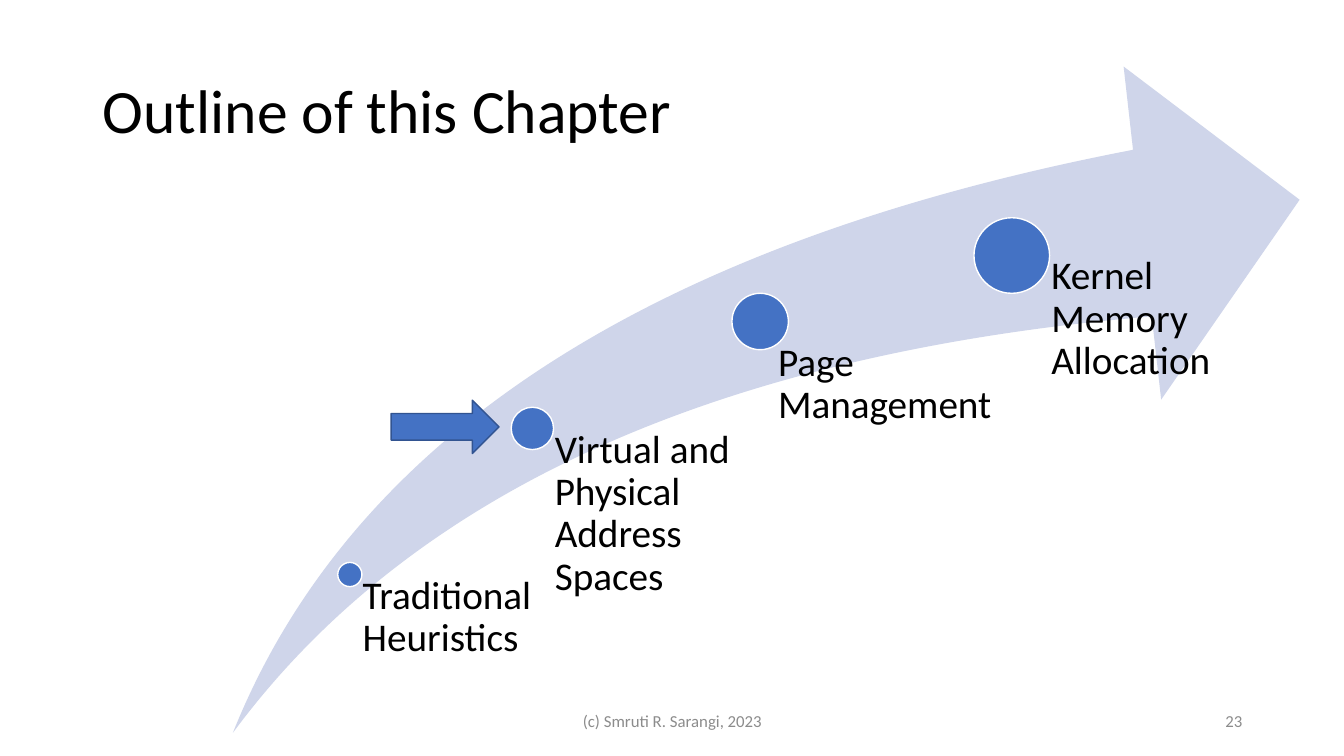
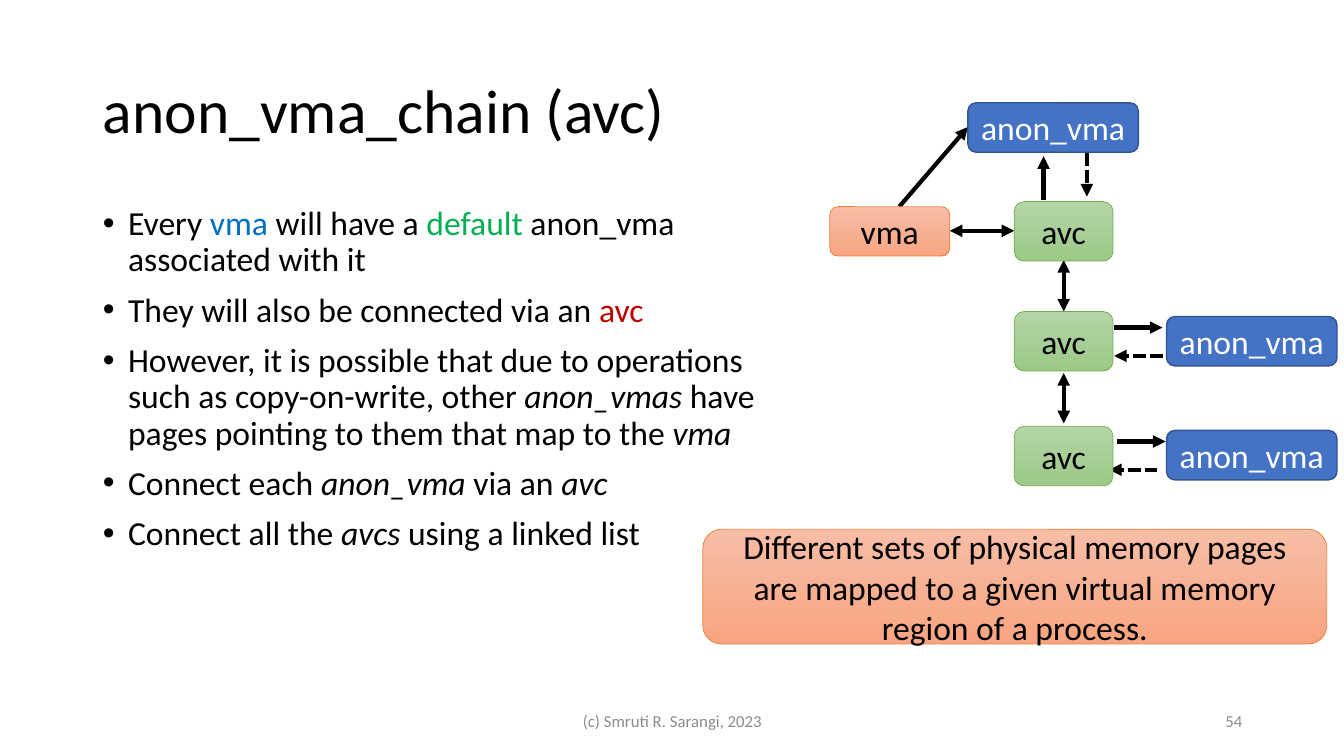
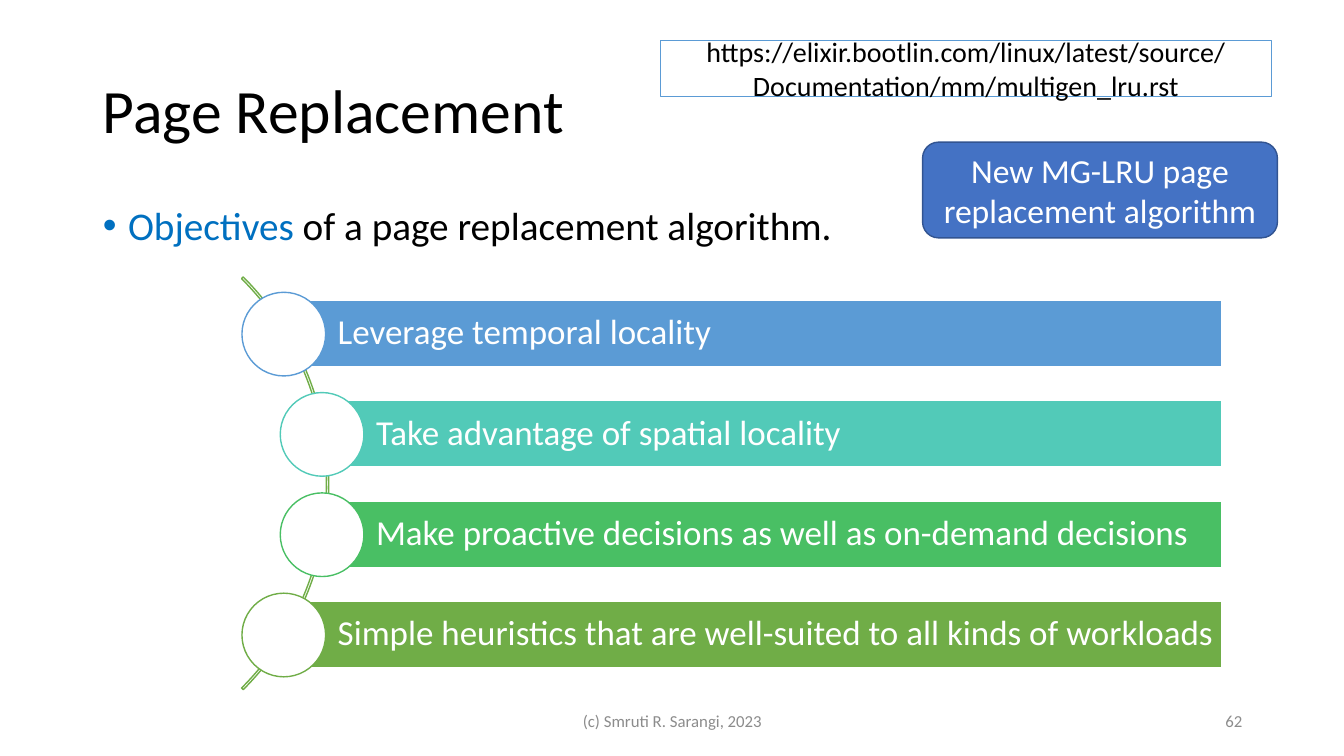
from lxml import etree
from pptx import Presentation
from pptx.dml.color import RGBColor
from pptx.enum.dml import MSO_LINE
from pptx.enum.shapes import MSO_CONNECTOR, MSO_SHAPE
from pptx.enum.text import MSO_ANCHOR, MSO_AUTO_SIZE, PP_ALIGN
from pptx.oxml.ns import qn
from pptx.util import Inches, Pt

LEFT, CENTER, RIGHT = PP_ALIGN.LEFT, PP_ALIGN.CENTER, PP_ALIGN.RIGHT
TOP, MIDDLE = MSO_ANCHOR.TOP, MSO_ANCHOR.MIDDLE
RECT, ROUND, OVAL = MSO_SHAPE.RECTANGLE, MSO_SHAPE.ROUNDED_RECTANGLE, MSO_SHAPE.OVAL
SWOOSH, ARROW, ARC = MSO_SHAPE.SWOOSH_ARROW, MSO_SHAPE.RIGHT_ARROW, MSO_SHAPE.BLOCK_ARC
STRAIGHT, DASH = MSO_CONNECTOR.STRAIGHT, MSO_LINE.SQUARE_DOT

FONT = "Calibri"
BLACK, WHITE, GRAY = "000000", "FFFFFF", "8C8C8C"
BLUE, NAVY, SKY, GREEN = "4472C4", "325491", "5B9BD5", "70AD47"
# Box styles: fill (a pair is a gradient), line colour, line width, text colour
SOLID = (BLUE, NAVY, 1, WHITE)
ORANGE_BOX = (("F7BDA5", "F8A582"), "ED7D31", 0.5, BLACK)
GREEN_BOX = (("B5D5A7", "9CC987"), GREEN, 0.5, BLACK)
OUTLINE = (WHITE, SKY, 1, BLACK)
ITALIC = {"italic": True}

rgb = RGBColor.from_string


def write(tf, paras, size=24, color=BLACK, align=LEFT, anchor=TOP, spacing=1.0,
          before=0, indent=None, insets=(0.1, 0.05, 0.1, 0.05)):
    """Fill a text frame; a paragraph is a string or a list of (text, format) runs."""
    tf.word_wrap = True
    tf.auto_size = MSO_AUTO_SIZE.NONE
    tf.vertical_anchor = anchor
    tf.margin_left, tf.margin_top, tf.margin_right, tf.margin_bottom = map(Inches, insets)
    for i, para in enumerate([paras] if isinstance(paras, str) else paras):
        p = tf.add_paragraph() if i else tf.paragraphs[0]
        p.alignment, p.line_spacing = align, spacing
        p.space_before = Pt(before if i else 0)
        if indent:
            pPr = p._p.get_or_add_pPr()
            pPr.set("marL", str(Inches(indent)))
            pPr.set("indent", str(-Inches(indent)))
        for text, fmt in [(para, {})] if isinstance(para, str) else para:
            for n, part in enumerate(text.split("\n")):
                if n:
                    p.add_line_break()
                r = p.add_run()
                r.text = part
                r.font.name, r.font.size = FONT, Pt(size)
                r.font.color.rgb = rgb(fmt.get("color", color))
                r.font.italic = fmt.get("italic")


def add_box(s, kind, at, fill=None, line=None, width=1):
    """Add a preset shape with a plain, gradient or no fill and no shadow."""
    sp = s.shapes.add_shape(kind, *map(Inches, at))
    sp.shadow.inherit = False
    if fill is None:
        sp.fill.background()
    elif isinstance(fill, tuple):
        sp.fill.gradient()
        sp.fill.gradient_angle = 270
        for stop, color in zip(sp.fill.gradient_stops, fill):
            stop.color.rgb = rgb(color)
    else:
        sp.fill.solid()
        sp.fill.fore_color.rgb = rgb(fill)
    if line:
        sp.line.color.rgb = rgb(line)
        sp.line.width = Pt(width)
    else:
        sp.line.fill.background()
    return sp


prs = Presentation()
prs.slide_width, prs.slide_height = Inches(13.33), Inches(7.5)

# Titles and footers of all slides
slides = []
for title, number, layout in [("Outline of this Chapter", "23", 5),
                              ("anon_vma_chain (avc)", "54", 1),
                              ("Page Replacement", "62", 1)]:
    s = prs.slides.add_slide(prs.slide_layouts[layout])
    sp = s.shapes.title
    sp.left, sp.top, sp.width, sp.height = map(Inches, (0.92, 0.4, 11.5, 1.45))
    write(sp.text_frame, title, size=44, anchor=MIDDLE, spacing=0.9)
    for text, left, width, align in [("(c) Smruti R. Sarangi, 2023", 4.42, 4.5, CENTER),
                                     (number, 9.42, 3, RIGHT)]:
        sp = s.shapes.add_textbox(*map(Inches, (left, 6.95, width, 0.4)))
        write(sp.text_frame, text, size=12, color=GRAY, align=align, anchor=MIDDLE)
    slides.append(s)
outline, chain, replacement = slides

# Bullet lists
chain_points = [
    [("Every ", {}), ("vma", {"color": "0070C0"}), (" will have a ", {}),
     ("default ", {"color": "00B050"}), ("anon_vma associated with it", {})],
    [("They will also be connected via an ", {}), ("avc", {"color": "C00000"})],
    [("However, it is possible that due to operations such as copy-on-write, other ", {}),
     ("anon_vmas ", ITALIC), ("have pages pointing to them that map to the ", {}),
     ("vma", ITALIC)],
    [("Connect each ", {}), ("anon_vma", ITALIC), (" via an ", {}), ("avc", ITALIC)],
    [("Connect all the ", {}), ("avcs ", ITALIC), ("using a linked list", {})],
]
objectives = [[("Objectives", {"color": "0070C0"}),
               (" of a page replacement algorithm.", {})]]
for s, points, width, height, size in [(chain, chain_points, 6.82, 3.73, 24),
                                       (replacement, objectives, 11.5, 0.59, 28)]:
    sp = s.placeholders[1]
    sp.left, sp.top, sp.width, sp.height = map(Inches, (0.92, 2, width, height))
    write(sp.text_frame, points, size=size, spacing=0.9, before=10, indent=0.25)

# Outline: milestones along a rising arrow
swoosh = add_box(outline, SWOOSH, (2.31, 0.66, 10.58, 6.61), "CFD5EA")
swoosh.adjustments[0] = swoosh.adjustments[1] = 0.25
for x, y, size, label_at, text in [
    (3.35, 5.58, 0.24, (3.47, 5.71, 1.81, 1.57), "Traditional Heuristics"),
    (5.07, 4.04, 0.42, (5.28, 4.26, 2.22, 3.02), "Virtual and Physical Address Spaces"),
    (7.26, 2.91, 0.56, (7.42, 3.4, 3.75, 3.4), "Page \nManagement"),
    (9.66, 2.16, 0.75, (10.03, 2.54, 2.22, 4.74), "Kernel Memory Allocation"),
]:
    add_box(outline, OVAL, (x, y, size, size), BLUE, WHITE)
    sp = outline.shapes.add_textbox(*map(Inches, label_at))
    write(sp.text_frame, text, size=28, spacing=0.9, insets=(0.53 * size, 0, 0, 0))
add_box(outline, ARROW, (3.88, 3.97, 1.07, 0.53), BLUE, NAVY)

# Chain: arrows (from, to, both ends, dashed)
for x1, y1, x2, y2, both, dashed in [
    (9.42, 2.29, 10.06, 2.29, True, False),
    (10.35, 1.98, 10.35, 1.55, False, False),
    (10.78, 1.52, 10.78, 1.95, False, True),
    (10.55, 2.58, 10.55, 3.09, True, False),
    (10.55, 3.7, 10.55, 4.2, True, False),
    (11.05, 3.25, 11.53, 3.25, False, False),
    (11.53, 3.53, 11.05, 3.53, False, True),
    (11.08, 4.38, 11.56, 4.38, False, False),
    (11.48, 4.66, 11, 4.66, False, True),
    (8.92, 2.05, 9.6, 1.26, False, False),
]:
    cx = chain.shapes.add_connector(STRAIGHT, *map(Inches, (x1, y1, x2, y2)))
    cx.line.color.rgb = rgb(BLACK)
    cx.line.width = Pt(3)
    if dashed:
        cx.line.dash_style = DASH
    ln = cx.line._get_or_add_ln()
    for end in ("a:headEnd", "a:tailEnd") if both else ("a:tailEnd",):
        etree.SubElement(ln, qn(end)).set("type", "triangle")
    etree.SubElement(cx._element.spPr, qn("a:effectLst"))

# Boxes with centred text on the last two slides
avc, anon = (0.98, 0.59), (1.69, 0.49)
for s, kind, at, style, size, text in [
    (chain, ROUND, (8.23, 2.05, 1.19, 0.49), ORANGE_BOX, 24, "vma"),
    *[(chain, ROUND, (10.06, y, *avc), GREEN_BOX, 24, "avc") for y in (2, 3.09, 4.23)],
    *[(chain, ROUND, (x, y, *anon), SOLID, 24, "anon_vma")
      for x, y in ((9.6, 1.02), (11.57, 3.14), (11.57, 4.27))],
    (chain, ROUND, (6.97, 5.25, 6.19, 1.14), ORANGE_BOX, 24,
     "Different sets of physical memory pages are mapped to a given virtual "
     "memory region of a process."),
    (replacement, RECT, (6.55, 0.4, 6.06, 0.56), OUTLINE, 20,
     "https://elixir.bootlin.com/linux/latest/source/Documentation/mm/multigen_lru.rst"),
    (replacement, ROUND, (9.15, 1.41, 3.52, 0.95), SOLID, 24,
     "New MG-LRU page replacement algorithm"),
]:
    fill, line, width, color = style
    sp = add_box(s, kind, at, fill, line, width)
    write(sp.text_frame, text, size=size, color=color, align=CENTER, anchor=MIDDLE)

# Replacement: objectives along an arc
arc = add_box(replacement, ARC, (-2.53, 1.9, 5.79, 5.79), line=GREEN)
for i, value in enumerate((189, 27, 0.004)):  # 315 degrees, 45 degrees, thickness
    arc.adjustments[i] = value
bar_right, bar_step = 12.12, 0.995
for i, (left, color, text) in enumerate([
    (2.82, SKY, "Leverage temporal locality"),
    (3.2, "52CAB8", "Take advantage of spatial locality"),
    (3.2, "49BF64", "Make proactive decisions as well as on-demand decisions"),
    (2.82, GREEN, "Simple heuristics that are well-suited to all kinds of workloads"),
]):
    top = 2.98 + i * bar_step
    sp = add_box(replacement, RECT, (left, top, bar_right - left, 0.66), color, WHITE)
    write(sp.text_frame, text, size=25, color=WHITE, anchor=MIDDLE, spacing=0.9,
          insets=(0.53, 0.07, 0.07, 0.07))
    add_box(replacement, OVAL, (left - 0.42, top - 0.08, 0.83, 0.83), WHITE, color)

prs.save("out.pptx")
